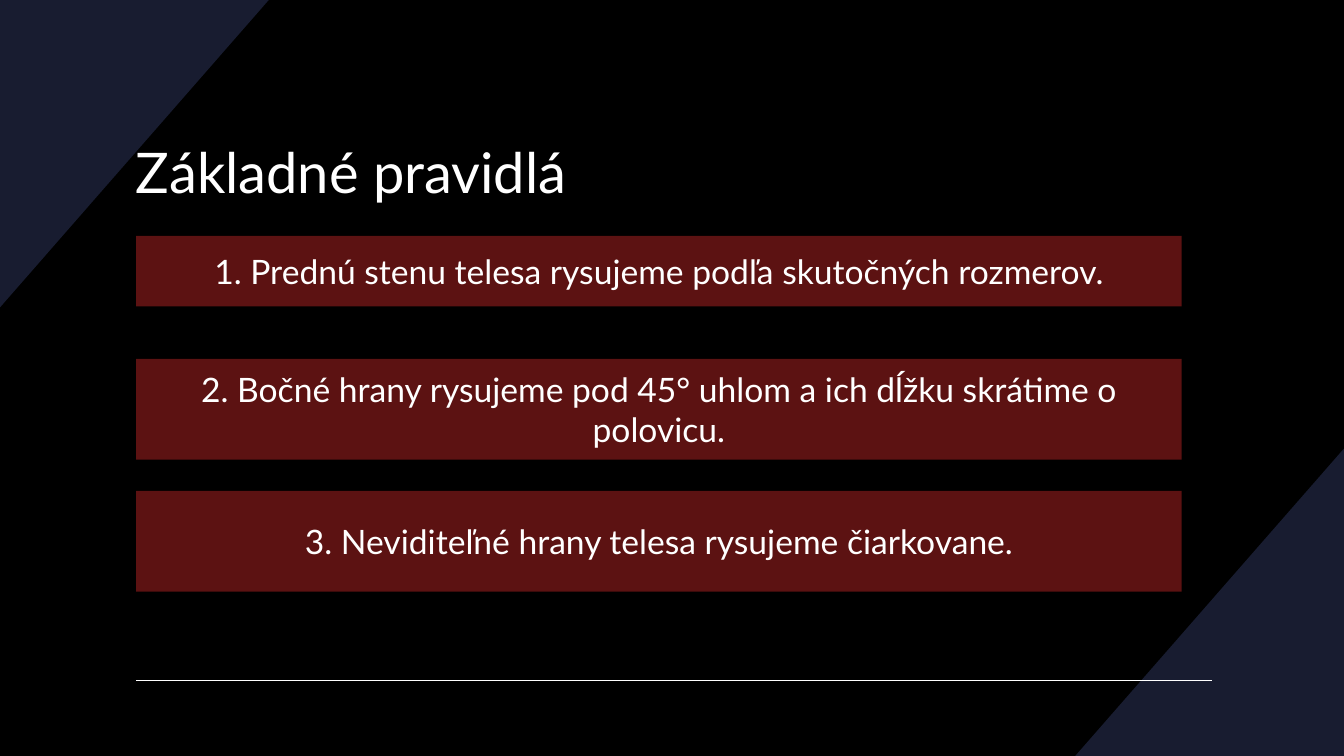
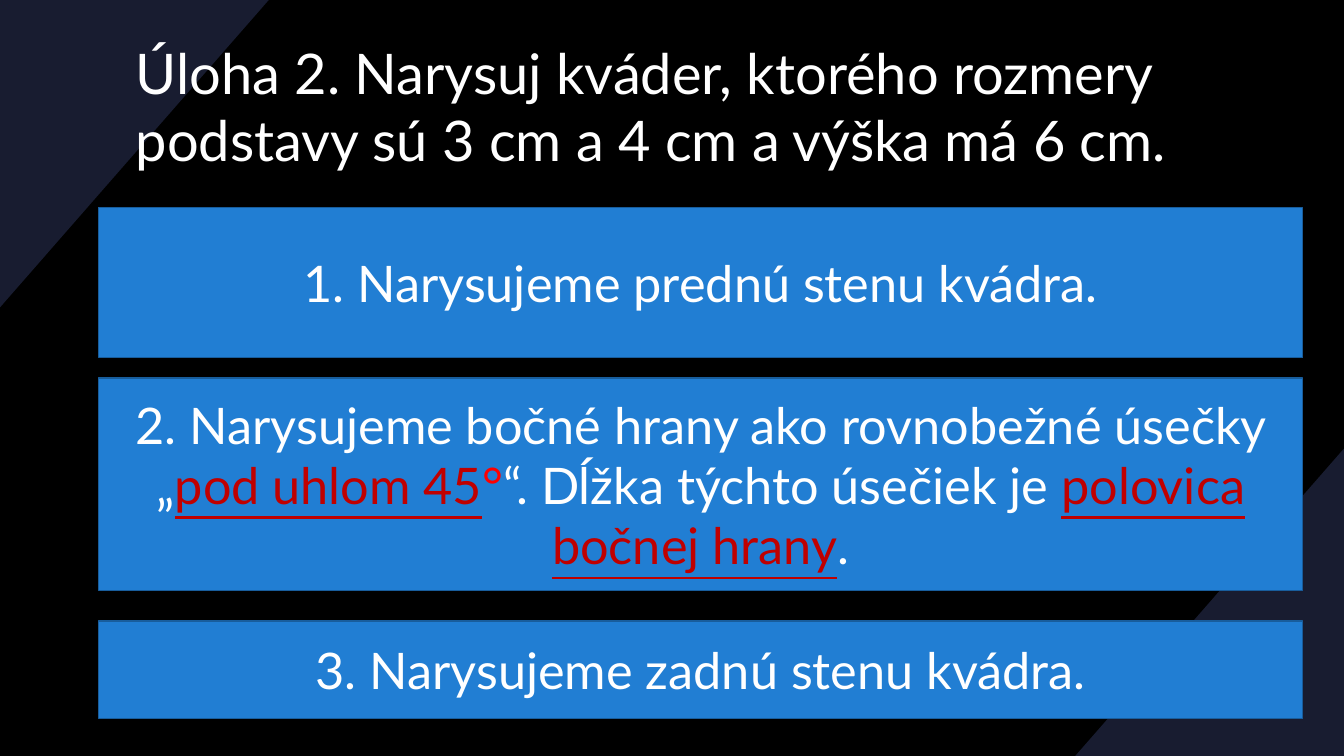
from lxml import etree
from pptx import Presentation
from pptx import util as u
from pptx.dml.color import RGBColor
from pptx.enum import shapes, text
from pptx.oxml.ns import qn

BLACK = RGBColor(0x00, 0x00, 0x00)
WHITE = RGBColor(0xFF, 0xFF, 0xFF)
NAVY = RGBColor(0x18, 0x1C, 0x30)
CRIMSON = RGBColor(0xB9, 0x25, 0x25)
BLUE = RGBColor(0x21, 0x7E, 0xD3)
DARK_BLUE = RGBColor(0x18, 0x5D, 0x9C)
DARK_RED = RGBColor(0xC0, 0x00, 0x00)
RED = RGBColor(0xFF, 0x00, 0x00)

FONT = "Lato"
WIDTH, HEIGHT = 13.33, 7.5
CORNER_W, CORNER_H = WIDTH / 5, 3.05
TITLE_LEFT, TITLE_W, TITLE_H = 1.25, 10.83, 1.49
RULE_LEFT, RULE_RIGHT, RULE_Y = 1.35, 12.02, 6.75

SLIDES = [
    {
        "title": "Základné pravidlá",
        "title_top": 0.95,
        "rule": True,
        "left": 1.35, "width": 10.37, "size": 24,
        "fill": CRIMSON, "opacity": 50, "line": None,
        "bands": [
            (2.34, 0.7, [("1. Prednú stenu telesa rysujeme podľa skutočných rozmerov.", WHITE, False)]),
            (3.56, 1, [("2. Bočné hrany rysujeme pod 45° uhlom a ich dĺžku skrátime o polovicu.", WHITE, False)]),
            (4.87, 1, [("3. Neviditeľné hrany telesa rysujeme čiarkovane.", WHITE, False)]),
        ],
    },
    {
        "title": "Úloha 2. Narysuj kváder, ktorého rozmery podstavy sú 3 cm a 4 cm a výška má 6 cm.",
        "title_top": 0.3,
        "rule": False,
        "left": 0.98, "width": 11.94, "size": 36,
        "fill": BLUE, "opacity": 100, "line": DARK_BLUE,
        "bands": [
            (2.06, 1.49, [("1. Narysujeme prednú stenu kvádra.", WHITE, False)]),
            (3.75, 2.11, [
                ("2. Narysujeme bočné hrany ako rovnobežné úsečky „", WHITE, False),
                ("pod uhlom 45", DARK_RED, True),
                ("°", RED, False),
                ("“. Dĺžka týchto úsečiek je ", WHITE, False),
                ("polovica bočnej hrany", DARK_RED, True),
                (".", WHITE, False),
            ]),
            (6.16, 0.97, [("3. Narysujeme zadnú stenu kvádra.", WHITE, False)]),
        ],
    },
]


def inches(*values):
    return [u.Inches(value) for value in values]


def write(shape, runs, size, align):
    frame = shape.text_frame
    frame.word_wrap = True
    frame.vertical_anchor = text.MSO_ANCHOR.MIDDLE
    para = frame.paragraphs[0]
    para.alignment = align
    for words, color, underlined in runs:
        span = para.add_run()
        span.text = words
        span.font.name = FONT
        span.font.size = u.Pt(size)
        span.font.color.rgb = color
        span.font.underline = underlined


def add_corner(page, x, y, side):
    points = [(x, y), (x + side * CORNER_W, y), (x, y + side * CORNER_H)]
    start, *others = [tuple(inches(*point)) for point in points]
    builder = page.shapes.build_freeform(*start)
    builder.add_line_segments(others, close=True)
    corner = builder.convert_to_shape()
    corner.shadow.inherit = False
    corner.fill.solid()
    corner.fill.fore_color.rgb = NAVY
    corner.line.fill.background()


def add_rule(page):
    rule = page.shapes.add_connector(
        shapes.MSO_CONNECTOR.STRAIGHT, *inches(RULE_LEFT, RULE_Y, RULE_RIGHT, RULE_Y))
    rule.line.color.rgb = WHITE
    rule.line.width = u.Pt(1)
    etree.SubElement(rule.element.spPr, qn("a:effectLst"))


def add_band(page, content, top, height, runs):
    band = page.shapes.add_shape(
        shapes.MSO_SHAPE.RECTANGLE, *inches(content["left"], top, content["width"], height))
    band.shadow.inherit = False
    band.fill.solid()
    band.fill.fore_color.rgb = content["fill"]
    if content["opacity"] < 100:
        color = band.element.spPr.find(qn("a:solidFill")).find(qn("a:srgbClr"))
        etree.SubElement(color, qn("a:alpha"), val=str(content["opacity"] * 1000))
    if content["line"] is None:
        band.line.fill.background()
    else:
        band.line.color.rgb = content["line"]
        band.line.width = u.Pt(1)
    write(band, runs, content["size"], text.PP_ALIGN.CENTER)


def add_page(deck, content):
    page = deck.slides.add_slide(deck.slide_layouts[6])
    page.background.fill.solid()
    page.background.fill.fore_color.rgb = BLACK
    add_corner(page, WIDTH, HEIGHT, -1)
    add_corner(page, 0, 0, 1)
    if content["rule"]:
        add_rule(page)
    title = page.shapes.add_textbox(
        *inches(TITLE_LEFT, content["title_top"], TITLE_W, TITLE_H))
    write(title, [(content["title"], WHITE, False)], 40, text.PP_ALIGN.LEFT)
    for top, height, runs in content["bands"]:
        add_band(page, content, top, height, runs)


def main():
    deck = Presentation()
    deck.slide_width, deck.slide_height = inches(WIDTH, HEIGHT)
    for content in SLIDES:
        add_page(deck, content)
    deck.save("out.pptx")


if __name__ == "__main__":
    main()
